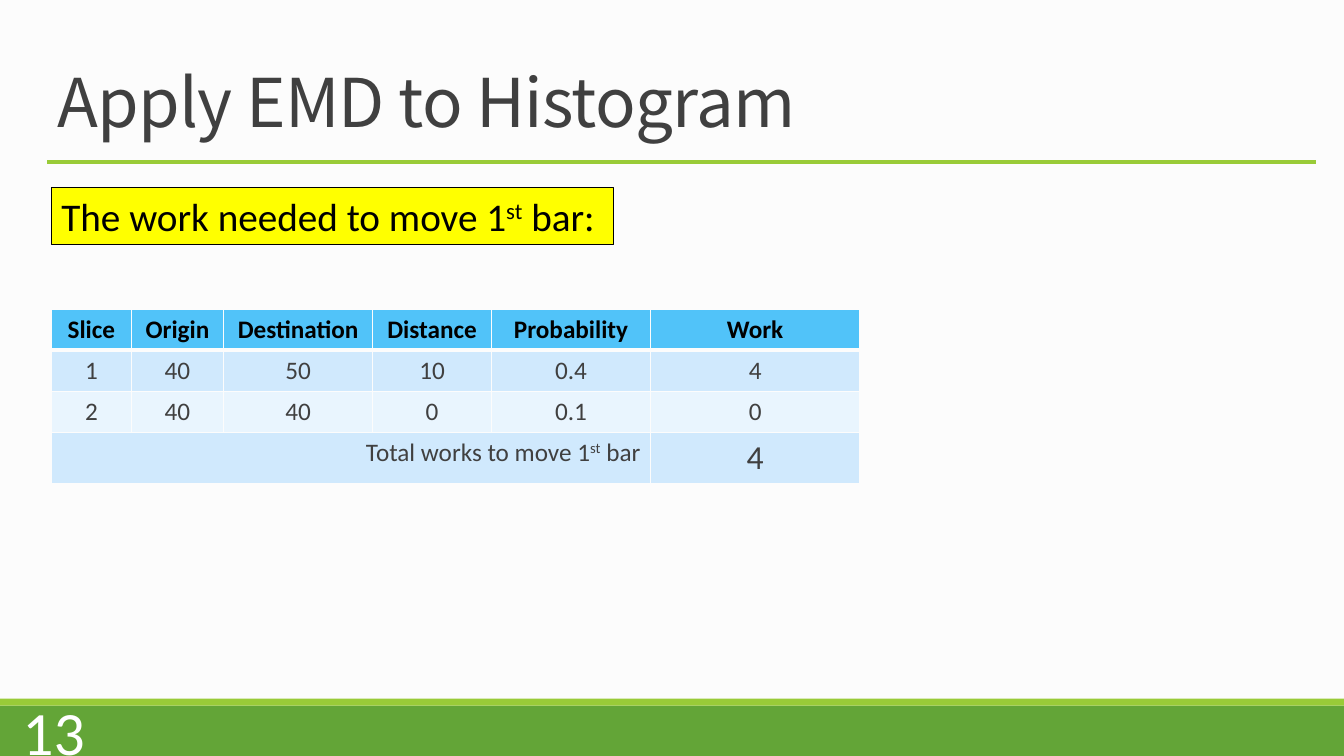
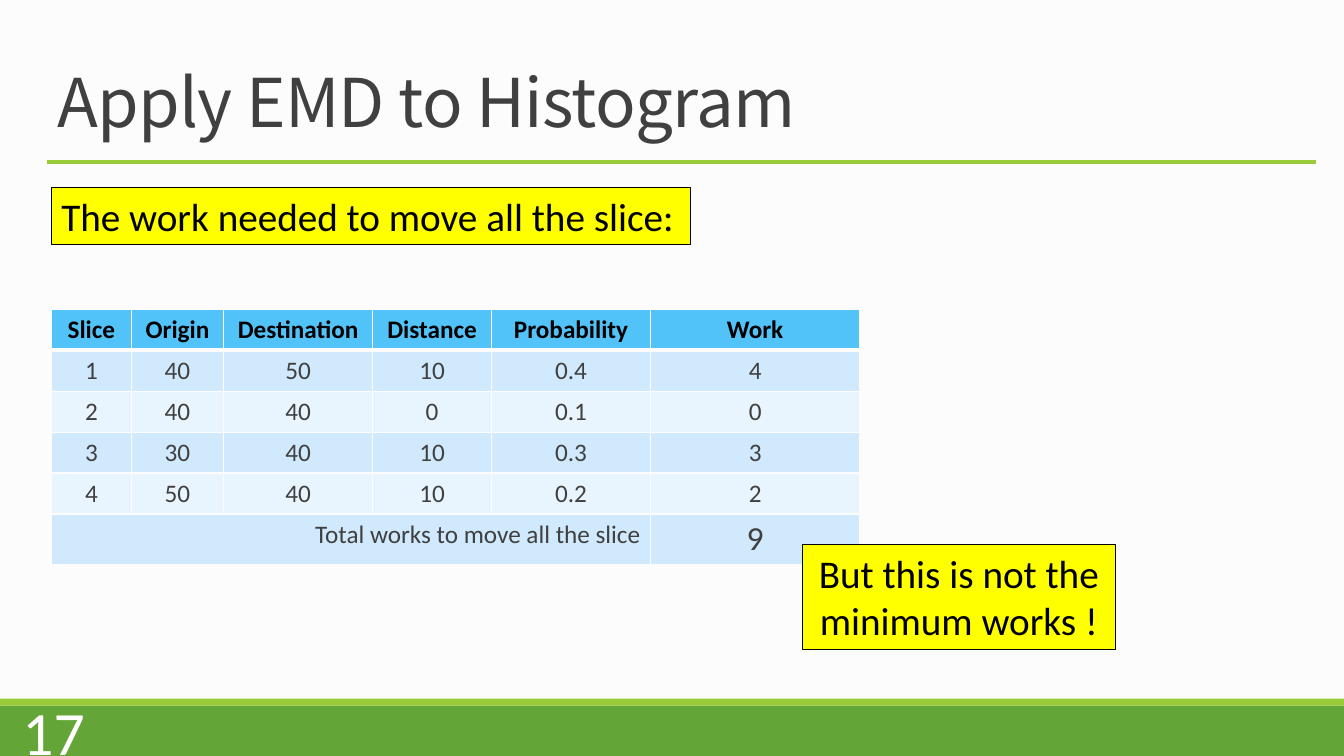
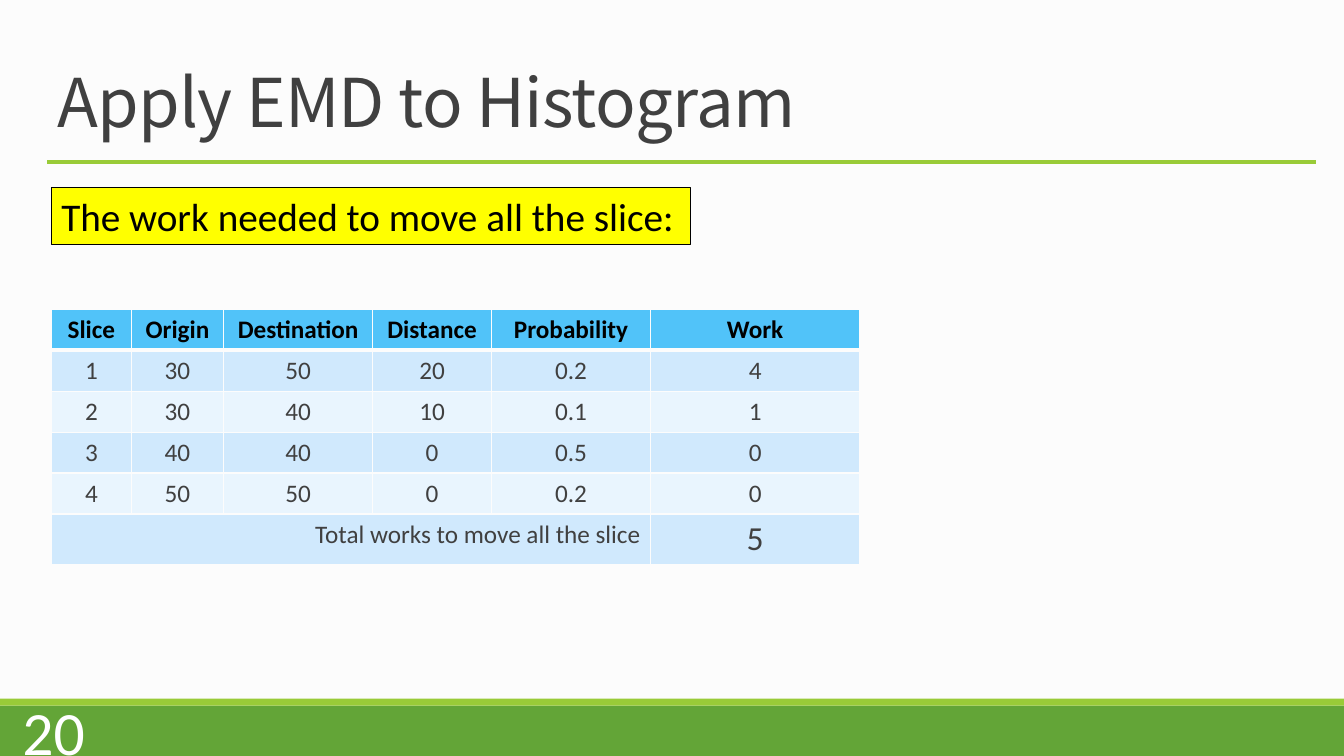
import pptx
import pptx.util
import pptx.dml.color
import pptx.enum.shapes
import pptx.enum.text
import pptx.oxml
import pptx.oxml.ns
import lxml.etree

Pt = pptx.util.Pt
RGB = pptx.dml.color.RGBColor
ALIGN = pptx.enum.text.PP_ALIGN
ANCHOR = pptx.enum.text.MSO_ANCHOR
RECT = pptx.enum.shapes.MSO_SHAPE.RECTANGLE
qn = pptx.oxml.ns.qn

PAPER = RGB(0xFC, 0xFC, 0xFC)
WHITE = RGB(0xFF, 0xFF, 0xFF)
GREEN = RGB(0x63, 0xA5, 0x37)
LIME = RGB(0x99, 0xCB, 0x38)
INK = RGB(0x40, 0x40, 0x40)
BLACK = RGB(0x00, 0x00, 0x00)
YELLOW = RGB(0xFF, 0xFF, 0x00)
HEAD = RGB(0x51, 0xC3, 0xF9)
BANDS = [RGB(0xE9, 0xF5, 0xFE), RGB(0xD0, 0xE9, 0xFD)]

WIDTH, HEIGHT = 960, 540
LEFT = 36.72
COLS = [57.2, 65.8, 106.5, 85, 113.5, 149.5]
ROW, LAST = 29.25, 36.5
LABELS = ["Slice", "Origin", "Destination", "Distance", "Probability", "Work"]

SLIDES = [
    {
        "page": "13",
        "lead": "The work needed to move 1^st^ bar:",
        "wide": 401.76,
        "rows": [["1", "40", "50", "10", "0.4", "4"],
                 ["2", "40", "40", "0", "0.1", "0"]],
        "total": ("Total works to move 1^st^ bar", "4"),
    },
    {
        "page": "17",
        "lead": "The work needed to move all the slice:",
        "wide": 456.48,
        "rows": [["1", "40", "50", "10", "0.4", "4"],
                 ["2", "40", "40", "0", "0.1", "0"],
                 ["3", "30", "40", "10", "0.3", "3"],
                 ["4", "50", "40", "10", "0.2", "2"]],
        "total": ("Total works to move all the slice", "9"),
        "note": "But this is not the minimum works !",
    },
    {
        "page": "20",
        "lead": "The work needed to move all the slice:",
        "wide": 456.48,
        "rows": [["1", "30", "50", "20", "0.2", "4"],
                 ["2", "30", "40", "10", "0.1", "1"],
                 ["3", "40", "40", "0", "0.5", "0"],
                 ["4", "50", "50", "0", "0.2", "0"]],
        "total": ("Total works to move all the slice", "5"),
    },
]


def write(frame, text, size, color, align=ALIGN.LEFT, face="Calibri", bold=False):
    par = frame.paragraphs[0]
    par.alignment = align
    font = par.font
    font.size, font.name, font.bold = Pt(size), face, bold
    font.color.rgb = color
    for i, part in enumerate(text.split("^")):
        run = par.add_run()
        run.text = part
        if i % 2:
            run.font._element.set("baseline", "30000")
    return par


def block(slide, x, y, w, h, fill, edge=None):
    shape = slide.shapes.add_shape(RECT, Pt(x), Pt(y), Pt(w), Pt(h))
    shape.shadow.inherit = False
    shape.fill.solid()
    shape.fill.fore_color.rgb = fill
    if edge is None:
        shape.line.fill.background()
    else:
        shape.line.color.rgb = edge
        shape.line.width = Pt(0.75)
    frame = shape.text_frame
    frame.word_wrap = True
    frame.vertical_anchor = ANCHOR.TOP
    return frame


deck = pptx.Presentation()
deck.slide_width, deck.slide_height = Pt(WIDTH), Pt(HEIGHT)
back = deck.slide_master.background.fill
back.solid()
back.fore_color.rgb = PAPER

for data in SLIDES:
    slide = deck.slides.add_slide(deck.slide_layouts[6])
    block(slide, 0, 504, WIDTH, 36, GREEN)
    block(slide, 0, 499, WIDTH, 5, LIME)

    title = slide.shapes.add_textbox(Pt(33.84), Pt(0), Pt(893.5), Pt(104.4)).text_frame
    title.word_wrap = True
    title.vertical_anchor = ANCHOR.BOTTOM
    par = write(title, "Apply EMD to Histogram", 48, INK, face="Noto Sans CJK SC")
    par.line_spacing = 0.85
    par.runs[0].font._element.set("spc", "-50")

    rule = slide.shapes.add_connector(
        pptx.enum.shapes.MSO_CONNECTOR.STRAIGHT, Pt(33.84), Pt(116), Pt(940.3), Pt(116))
    rule.line.color.rgb = LIME
    rule.line.width = Pt(3)
    lxml.etree.SubElement(rule._element.spPr, qn("a:effectLst"))

    page = slide.shapes.add_textbox(Pt(-35.28), Pt(507.6), Pt(103), Pt(28.8)).text_frame
    page.word_wrap = True
    page.vertical_anchor = ANCHOR.MIDDLE
    write(page, data["page"], 44, WHITE, ALIGN.RIGHT)

    label, total = data["total"]
    rows = [LABELS] + data["rows"] + [[label, "", "", "", "", total]]
    end = len(rows) - 1
    grid = slide.shapes.add_table(
        len(rows), len(COLS), Pt(LEFT), Pt(221), Pt(sum(COLS)), Pt(ROW * end + LAST)).table
    for col, wide in zip(grid.columns, COLS):
        col.width = Pt(wide)
    for r, row in enumerate(rows):
        grid.rows[r].height = Pt(LAST if r == end else ROW)
        for c, text in enumerate(row):
            cell = grid.cell(r, c)
            props = cell._tc.get_or_add_tcPr()
            thick = {"T": 3 if r == 1 else 1, "B": 3 if r == 0 else 1}
            for side in "LRTB":
                line = lxml.etree.SubElement(
                    props, qn("a:ln" + side), w=str(Pt(thick.get(side, 1))))
                fill = lxml.etree.SubElement(line, qn("a:solidFill"))
                lxml.etree.SubElement(fill, qn("a:srgbClr"), val=str(PAPER))
            cell.fill.solid()
            cell.fill.fore_color.rgb = BANDS[r % 2] if r else HEAD
            if text:
                last = r == end
                write(cell.text_frame, text, 24 if last and c else 18,
                      INK if r else BLACK,
                      ALIGN.RIGHT if last and c == 0 else ALIGN.CENTER, bold=r == 0)
    grid.cell(end, 0).merge(grid.cell(end, 4))

    lead = block(slide, LEFT, 133.9, data["wide"], 41, YELLOW, BLACK)
    write(lead, data["lead"], 28, BLACK)
    if "note" in data:
        note = block(slide, 573.1, 389, 223.5, 75, YELLOW, BLACK)
        write(note, data["note"], 28, BLACK, ALIGN.CENTER)

deck.save("out.pptx")
